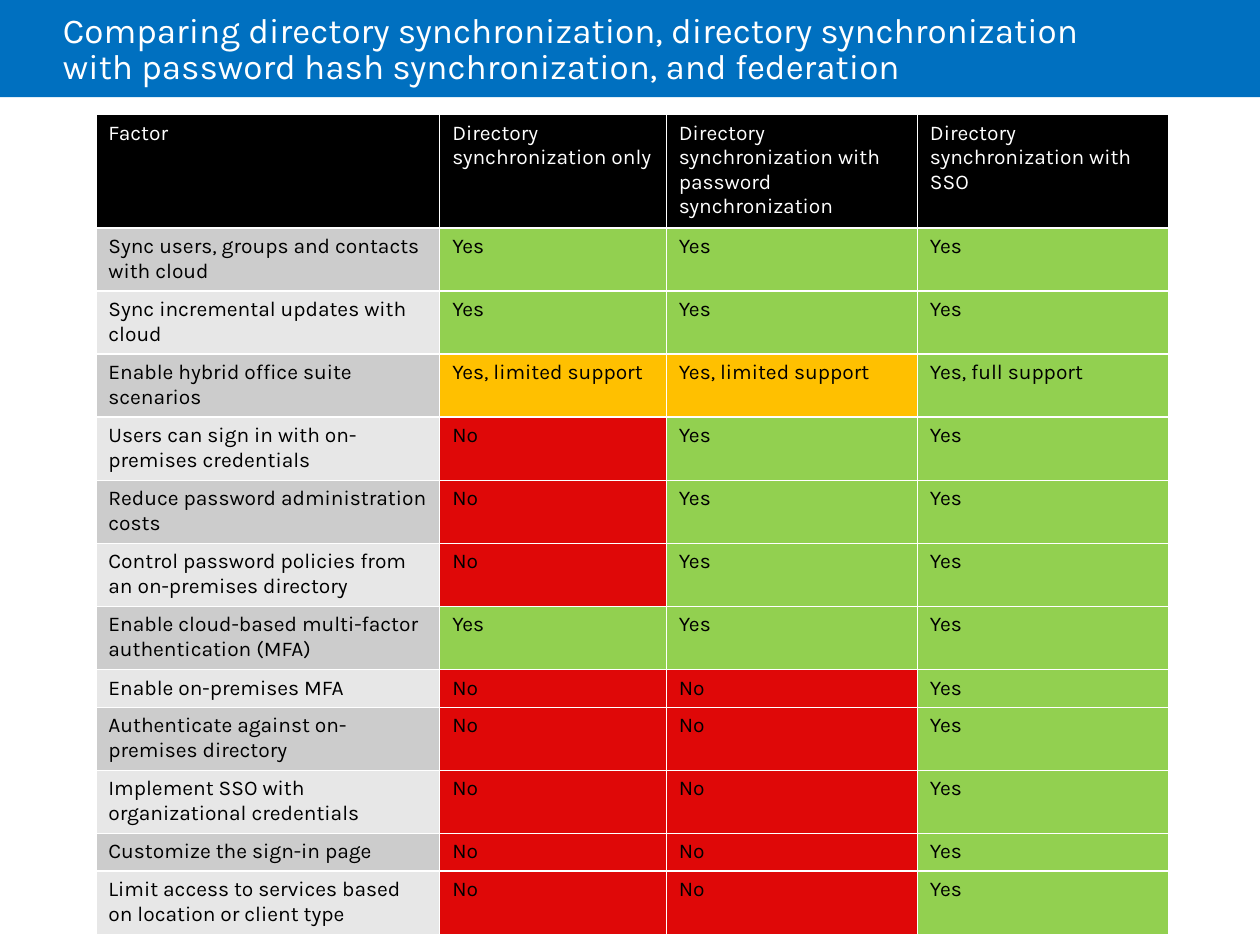
from dataclasses import dataclass

from lxml import etree
from pptx import Presentation
from pptx import util as u
from pptx.dml import color
from pptx.enum import shapes, text
from pptx.oxml import ns

Pt = u.Pt


@dataclass(frozen=True)
class Theme:
    font: str = "Karla"
    title_size: int = 20
    table_size: int = 12
    white: str = "FFFFFF"
    black: str = "000000"
    banner: str = "0070C0"
    bands: tuple = ("CCCCCC", "E7E7E7")
    yes: str = "92D050"
    limited: str = "FFC000"
    no: str = "DF0808"


theme = Theme()


def style_text(para, size, ink):
    values = {"name": theme.font, "size": Pt(size), "bold": False}
    for name, value in values.items():
        setattr(para.font, name, value)
    para.font.color.rgb = color.RGBColor.from_string(ink)


def add_borders(cell, ink, width):
    properties = cell._tc.get_or_add_tcPr()
    for side in ("lnL", "lnR", "lnT", "lnB"):
        line = etree.SubElement(properties, ns.qn(f"a:{side}"), w=str(Pt(width)))
        fill = etree.SubElement(line, ns.qn("a:solidFill"))
        etree.SubElement(fill, ns.qn("a:srgbClr"), val=ink)


deck = Presentation()
deck.slide_width, deck.slide_height = Pt(720), Pt(540)
page = deck.slides.add_slide(deck.slide_layouts[6])

# Title banner
banner = page.shapes.add_shape(
    shapes.MSO_SHAPE.RECTANGLE, Pt(0), Pt(0), Pt(720), Pt(55.5))
banner.shadow.inherit = False
banner.fill.solid()
banner.fill.fore_color.rgb = color.RGBColor.from_string(theme.banner)
banner.line.fill.background()

# Title
box = page.shapes.add_textbox(Pt(36), Pt(0), Pt(612), Pt(58))
frame_format = {
    "word_wrap": True,
    "vertical_anchor": text.MSO_ANCHOR.MIDDLE,
    "margin_left": Pt(0),
}
for name, value in frame_format.items():
    setattr(box.text_frame, name, value)
para = box.text_frame.paragraphs[0]
para.text = ("Comparing directory synchronization, directory synchronization "
             "with password hash synchronization, and federation")
para.line_spacing = 0.85
style_text(para, theme.title_size, theme.white)

# Comparison data
header = (
    "Factor",
    "Directory synchronization only",
    "Directory synchronization with password synchronization",
    "Directory synchronization with SSO",
)
all_yes = ("Yes", "Yes", "Yes")
needs_password = ("No", "Yes", "Yes")
needs_sso = ("No", "No", "Yes")
factors = (
    ("Sync users, groups and contacts with cloud", all_yes),
    ("Sync incremental updates with cloud", all_yes),
    ("Enable hybrid office suite scenarios",
     ("Yes, limited support", "Yes, limited support", "Yes, full support")),
    ("Users can sign in with on-premises credentials", needs_password),
    ("Reduce password administration costs", needs_password),
    ("Control password policies from an on-premises directory", needs_password),
    ("Enable cloud-based multi-factor authentication (MFA)", all_yes),
    ("Enable on-premises MFA", needs_sso),
    ("Authenticate against on-premises directory", needs_sso),
    ("Implement SSO with organizational credentials", needs_sso),
    ("Customize the sign-in page", needs_sso),
    ("Limit access to services based on location or client type", needs_sso),
)
answer_fills = {
    "Yes": theme.yes,
    "Yes, full support": theme.yes,
    "Yes, limited support": theme.limited,
    "No": theme.no,
}
rows = [header] + [(factor, *answers) for factor, answers in factors]

# Table grid: short factors take one line, the others two
one_line_limit = 26
column_widths = (196.5, 129.5, 143.5, 143.5)
row_heights = [64] + [
    21.5 if len(factor) <= one_line_limit else 36 for factor, _ in factors]
table = page.shapes.add_table(
    len(rows), len(header), Pt(54.75), Pt(65.5),
    Pt(sum(column_widths)), Pt(sum(row_heights))).table
table.first_row = False
table.horz_banding = False
for column, width in zip(table.columns, column_widths):
    column.width = Pt(width)
for row, height in zip(table.rows, row_heights):
    row.height = Pt(height)

# Table cells
for r, values in enumerate(rows):
    for c, value in enumerate(values):
        if r == 0:
            fill, ink = theme.black, theme.white
        elif c == 0:
            fill, ink = theme.bands[(r - 1) % 2], theme.black
        else:
            fill, ink = answer_fills[value], theme.black
        cell = table.cell(r, c)
        cell.text = value
        style_text(cell.text_frame.paragraphs[0], theme.table_size, ink)
        add_borders(cell, theme.white, 1)
        cell.fill.solid()
        cell.fill.fore_color.rgb = color.RGBColor.from_string(fill)

deck.save("out.pptx")
